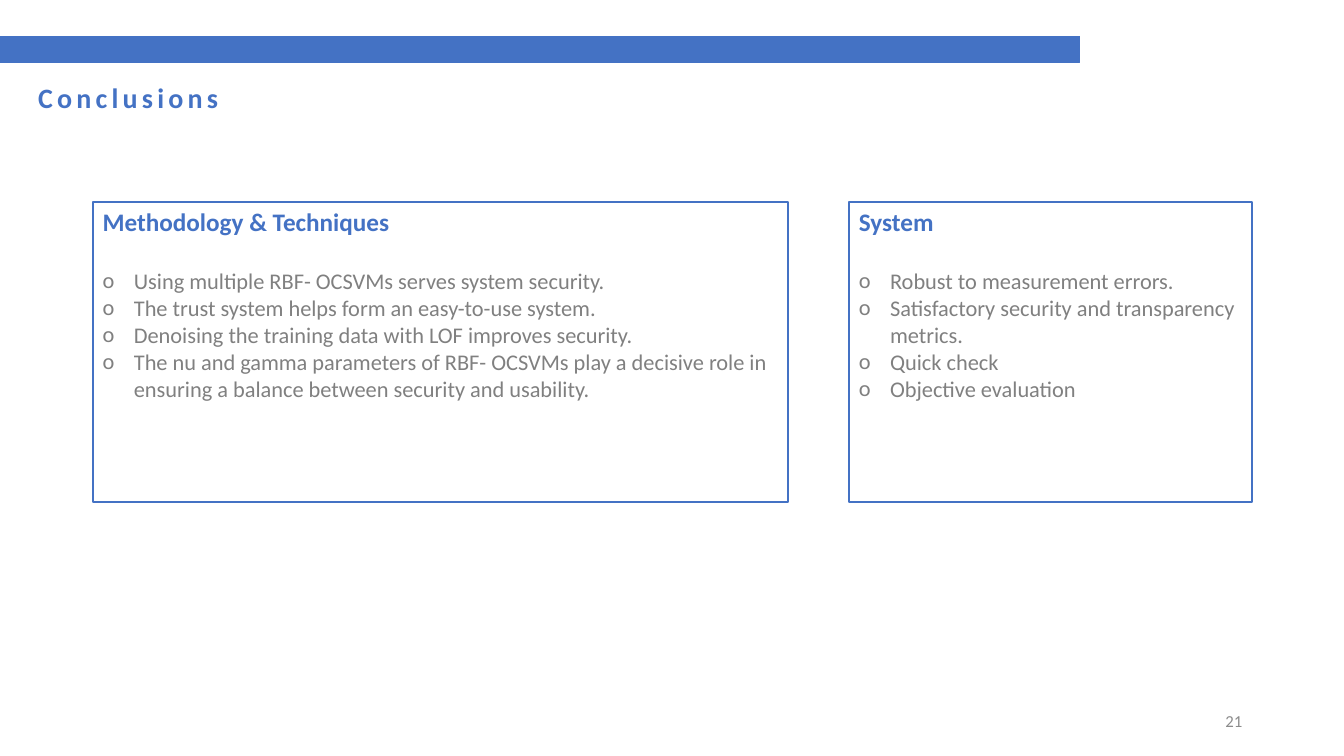
import pptx
import pptx.dml.color
import pptx.enum.shapes
import pptx.enum.text
import pptx.oxml.ns
import pptx.util
from lxml import etree
from pptx.util import Inches

COLOURS = {"blue": "4472C4", "body": "808080", "number": "8C8C8C"}
FONT = "Calibri"
ALIGN = pptx.enum.text.PP_ALIGN
ANCHOR = pptx.enum.text.MSO_ANCHOR

PANEL_TOP, PANEL_HEIGHT = 2, 2.98
PANELS = [
    (0.92, 6.9, "Methodology & Techniques", [
        "Using multiple RBF- OCSVMs serves system security.",
        "The trust system helps form an easy-to-use system.",
        "Denoising the training data with LOF improves security.",
        "The nu and gamma parameters of RBF- OCSVMs play a decisive role in "
        "ensuring a balance between security and usability.",
    ]),
    (8.42, 4, "System", [
        "Robust to measurement errors.",
        "Satisfactory security and transparency metrics.",
        "Quick check",
        "Objective evaluation",
    ]),
]


def rgb(name):
    """Return the named colour."""
    return pptx.dml.color.RGBColor.from_string(COLOURS[name])


def write(para, text, *, size, colour, bold=False, align=ALIGN.LEFT, spacing=0, after=0):
    """Write formatted text into a paragraph."""
    para.alignment = align
    para.space_after = pptx.util.Pt(after)
    span = para.add_run()
    span.text = text
    span.font.name = FONT
    span.font.size = pptx.util.Pt(size)
    span.font.bold = bold
    span.font.color.rgb = rgb(colour)
    if spacing:
        span.font._element.set("spc", str(spacing * 100))


def add_bullet(para):
    """Give a paragraph a hanging round bullet."""
    properties = para._p.get_or_add_pPr()
    properties.set("marL", str(Inches(0.31)))
    properties.set("indent", str(-Inches(0.31)))
    font = etree.SubElement(properties, pptx.oxml.ns.qn("a:buFont"))
    font.set("typeface", FONT)
    bullet = etree.SubElement(properties, pptx.oxml.ns.qn("a:buChar"))
    bullet.set("char", "o")


def add_label(page, left, top, width, height, text, anchor=ANCHOR.TOP, **style):
    """Add a text box with one line."""
    box = page.shapes.add_textbox(Inches(left), Inches(top), Inches(width), Inches(height))
    box.text_frame.word_wrap = True
    box.text_frame.vertical_anchor = anchor
    write(box.text_frame.paragraphs[0], text, **style)


def add_rectangle(page, left, top, width, height, line_width, fill=None):
    """Add a blue-edged rectangle, filled if a colour is given."""
    box = page.shapes.add_shape(
        pptx.enum.shapes.MSO_SHAPE.RECTANGLE,
        Inches(left), Inches(top), Inches(width), Inches(height))
    box.shadow.inherit = False
    if fill:
        box.fill.solid()
        box.fill.fore_color.rgb = rgb(fill)
    else:
        box.fill.background()
    box.line.color.rgb = rgb("blue")
    box.line.width = pptx.util.Pt(line_width)
    return box


def add_panel(page, left, width, heading, points):
    """Add an outlined panel with a heading and bullet points."""
    box = add_rectangle(page, left, PANEL_TOP, width, PANEL_HEIGHT, 1.5)
    frame = box.text_frame
    frame.word_wrap = True
    frame.vertical_anchor = ANCHOR.TOP
    write(frame.paragraphs[0], heading, size=18, colour="blue", bold=True, after=22)
    for point in points:
        para = frame.add_paragraph()
        write(para, point, size=16, colour="body")
        add_bullet(para)


def main():
    """Build the conclusions slide."""
    deck = pptx.Presentation()
    deck.slide_width, deck.slide_height = Inches(13.33), Inches(7.5)
    page = deck.slides.add_slide(deck.slide_layouts[6])
    add_label(page, 9.42, 6.95, 3, 0.4, "21", anchor=ANCHOR.MIDDLE,
              size=12, colour="number", align=ALIGN.RIGHT)
    add_label(page, 0.28, 0.75, 2.5, 0.44, "Conclusions",
              size=20, colour="blue", bold=True, spacing=3)
    add_rectangle(page, 0, 0.36, 10.71, 0.26, 1, fill="blue")
    for panel in PANELS:
        add_panel(page, *panel)
    deck.save("out.pptx")


if __name__ == "__main__":
    main()
